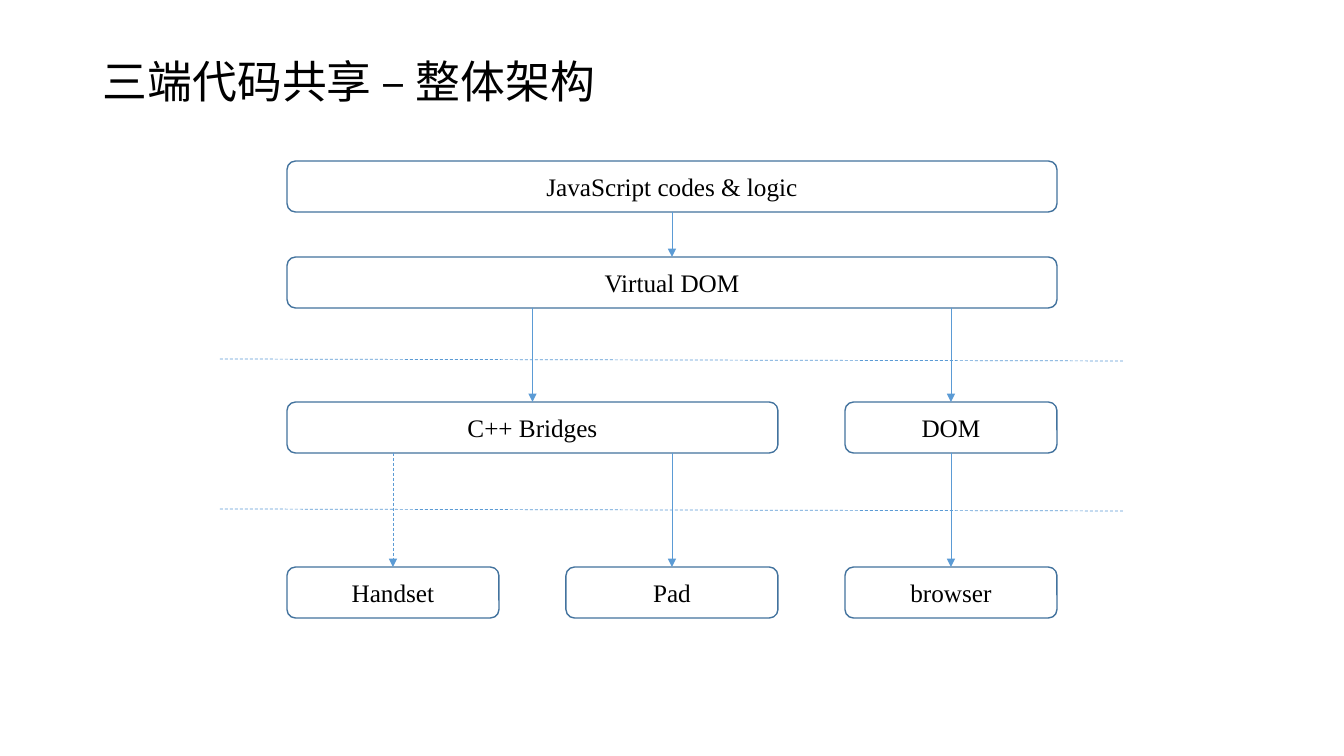
from typing import Any, NamedTuple

from pptx import Presentation
from pptx.dml.color import RGBColor
from pptx.enum.dml import MSO_LINE_DASH_STYLE as Dash
from pptx.enum.shapes import MSO_CONNECTOR as Conn, MSO_SHAPE as Kind
from pptx.enum.text import MSO_ANCHOR as Anchor, PP_ALIGN as Align
from pptx.oxml.ns import qn
from pptx.util import Emu, Pt

PX = 12192000 / 1344
LEFT, WIDE, STEP, HIGH = 287, 212, 279, 51
FONT = "Times New Roman"
BLACK, WHITE, EDGE, BLUE = "000000", "FFFFFF", "43739E", "5B9BD5"


class Box(NamedTuple):
    text: str
    top: int
    col: int
    span: int


class Link(NamedTuple):
    start: str
    end: str
    dashed: bool = False


BOXES = [
    Box("JavaScript codes & logic", 161, 0, 3),
    Box("Virtual DOM", 257, 0, 3),
    Box("C++ Bridges", 402, 0, 2),
    Box("DOM", 402, 2, 1),
    Box("Handset", 567, 0, 1),
    Box("Pad", 567, 1, 1),
    Box("browser", 567, 2, 1),
]
LINKS = [
    Link("JavaScript codes & logic", "Virtual DOM"),
    Link("Virtual DOM", "C++ Bridges"),
    Link("Virtual DOM", "DOM"),
    Link("C++ Bridges", "Handset", True),
    Link("C++ Bridges", "Pad"),
    Link("DOM", "browser"),
]
BORDERS = [359, 509]


def px(size: float) -> Emu:
    return Emu(round(size * PX))


def color(code: str) -> RGBColor:
    return RGBColor.from_string(code)


def assign(item: Any, style: dict[str, Any]) -> None:
    for name, value in style.items():
        setattr(item, name, value)


def write(shape: Any, text: str, size: int, layout: dict[str, Any]) -> None:
    frame = shape.text_frame
    assign(frame, {"word_wrap": True, "vertical_anchor": Anchor.MIDDLE})
    para = frame.paragraphs[0]
    assign(para, layout)
    run = para.add_run()
    run.text = text
    assign(run.font, {"name": FONT, "size": Pt(size)})
    run.font.color.rgb = color(BLACK)


def draw_box(slide: Any, box: Box) -> Any:
    width = STEP * (box.span - 1) + WIDE
    shape = slide.shapes.add_shape(
        Kind.ROUNDED_RECTANGLE,
        px(LEFT + STEP * box.col), px(box.top), px(width), px(HIGH))
    shape.shadow.inherit = False
    shape.fill.solid()
    shape.fill.fore_color.rgb = color(WHITE)
    shape.line.color.rgb = color(EDGE)
    shape.line.width = Pt(1)
    write(shape, box.text, 18, {"alignment": Align.CENTER})
    return shape


def draw_line(slide: Any, ends: tuple[int, int, int, int], dashed: bool) -> Any:
    line = slide.shapes.add_connector(Conn.STRAIGHT, *ends)
    line.line.color.rgb = color(BLUE)
    line.line.width = Pt(0.5)
    if dashed:
        line.line.dash_style = Dash.DASH
    props = line._element.spPr
    props.append(props.makeelement(qn("a:effectLst"), {}))
    return line


def middle(shape: Any) -> int:
    return shape.left + shape.width // 2


def draw_link(slide: Any, link: Link, shapes: dict[str, Any]) -> None:
    start, end = shapes[link.start], shapes[link.end]
    x = middle(end)
    line = draw_line(slide, (x, start.top + start.height, x, end.top), link.dashed)
    if abs(middle(start) - x) < PX:
        line.begin_connect(start, 2)
    line.end_connect(end, 0)
    stroke = line.line._get_or_add_ln()
    stroke.append(stroke.makeelement(qn("a:tailEnd"), {"type": "triangle"}))


def main() -> None:
    deck = Presentation()
    assign(deck, {"slide_width": px(1344), "slide_height": px(756)})
    slide = deck.slides.add_slide(deck.slide_layouts[6])
    title = slide.shapes.add_textbox(px(93), px(41), px(1159), px(87))
    write(title, "三端代码共享 – 整体架构", 32, {"line_spacing": 0.9})
    shapes = {box.text: draw_box(slide, box) for box in BOXES}
    for link in LINKS:
        draw_link(slide, link, shapes)
    for top in BORDERS:
        draw_line(slide, (px(220), px(top), px(1124), px(top + 2)), True)
    deck.save("out.pptx")


if __name__ == "__main__":
    main()
